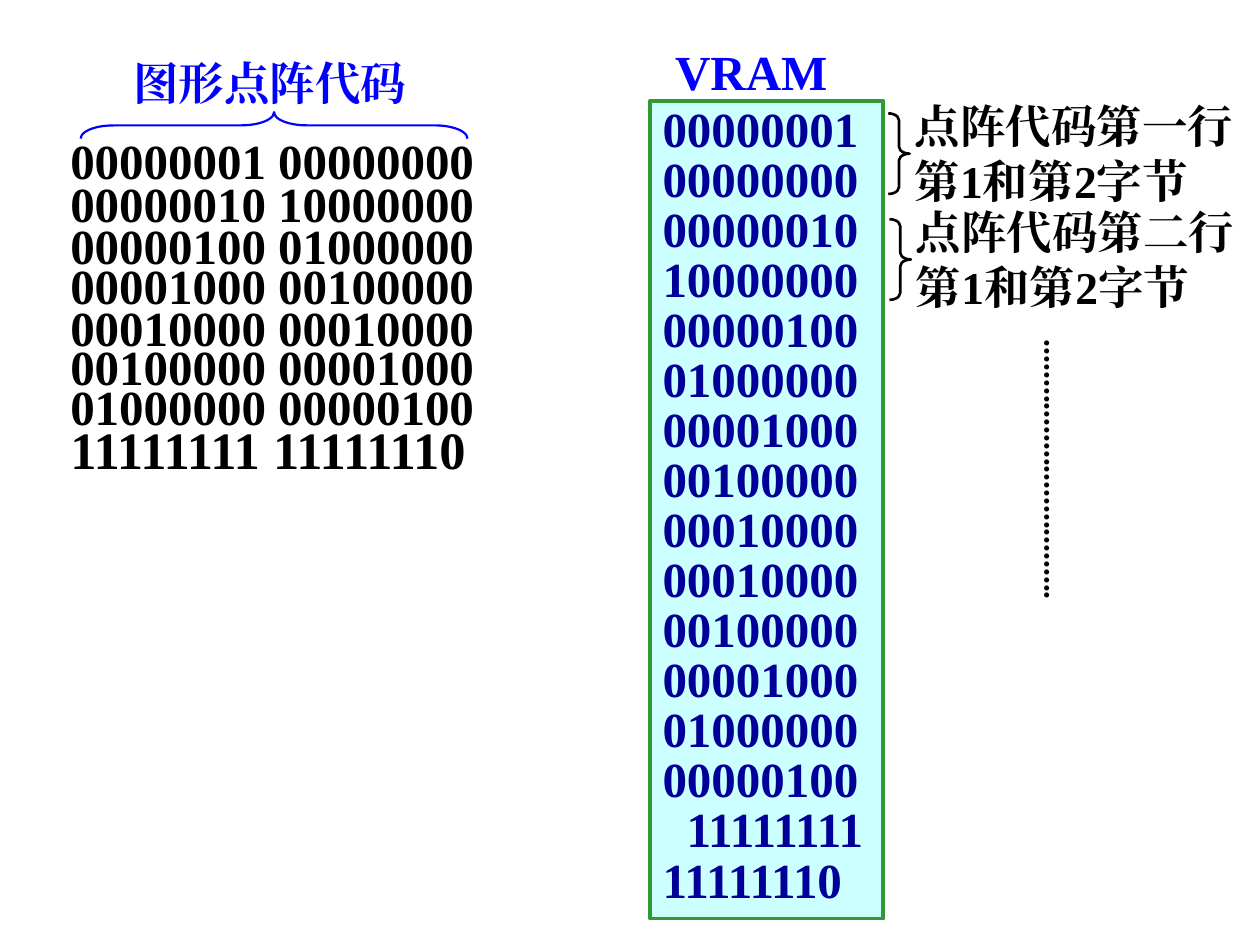
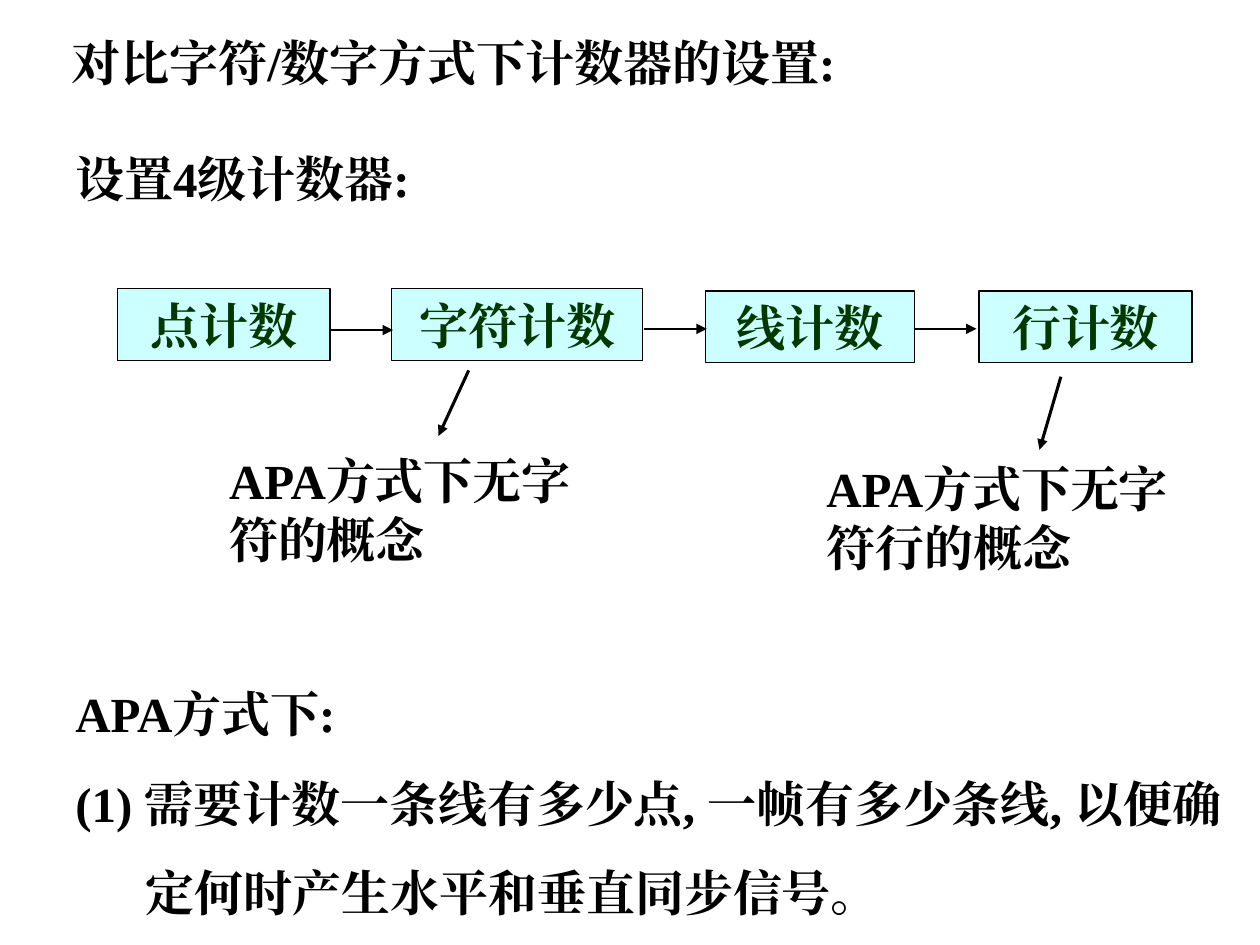
from pptx import Presentation
from pptx.dml.color import RGBColor
from pptx.enum import shapes, text
from pptx.oxml.ns import qn
from pptx.util import Inches, Pt
from lxml import etree

FONT = "Times New Roman"
BLACK, BLUE, NAVY, GREEN = "000000", "0000FF", "000099", "003800"
CYAN, FRAME, WHITE = "CCFFFF", "339933", "FFFFFF"


def color(value):
    """Turn a hex string into a colour."""
    return RGBColor.from_string(value)


def write(paragraph, content, size=28, ink=BLACK, center=False, spacing=None,
          before=0, left=0, first=0):
    """Put formatted text into a paragraph."""
    properties = paragraph._p.get_or_add_pPr()
    properties.set("marL", str(Inches(left)))
    properties.set("indent", str(Inches(first)))
    paragraph.alignment = text.PP_ALIGN.CENTER if center else text.PP_ALIGN.LEFT
    if spacing:
        paragraph.line_spacing = spacing
    if before:
        paragraph.space_before = Pt(before)
    run = paragraph.add_run()
    run.text = content
    run.font.name = FONT
    run.font.size = Pt(size)
    run.font.bold = True
    run.font.color.rgb = color(ink)
    etree.SubElement(run._r.get_or_add_rPr(), qn("a:ea"), typeface=FONT)


class Deck:
    """Hold the style and the current slide."""

    def __init__(self):
        """Start an empty presentation."""
        self.show = Presentation()
        self.show.slide_width, self.show.slide_height = Inches(10), Inches(7.5)
        self.slide = None

    def page(self):
        """Add a blank white slide."""
        self.slide = self.show.slides.add_slide(self.show.slide_layouts[6])
        self.slide.background.fill.solid()
        self.slide.background.fill.fore_color.rgb = color(WHITE)

    def label(self, place, content, vertical=False, **style):
        """Add a text box with one paragraph."""
        frame = self.slide.shapes.add_textbox(*map(Inches, place)).text_frame
        frame.word_wrap = True
        if vertical:
            frame._txBody.bodyPr.set("vert", "eaVert")
        write(frame.paragraphs[0], content, **style)
        return frame

    def shape(self, kind, place, line, width, fill=None):
        """Add a preset shape."""
        item = self.slide.shapes.add_shape(kind, *map(Inches, place))
        item.shadow.inherit = False
        item.line.color.rgb = color(line)
        item.line.width = Pt(width)
        if fill:
            item.fill.solid()
            item.fill.fore_color.rgb = color(fill)
        else:
            item.fill.background()
        return item

    def box(self, place, line, width):
        """Add a pale rectangle and return its text frame."""
        frame = self.shape(shapes.MSO_SHAPE.RECTANGLE, place, line, width, CYAN).text_frame
        frame.word_wrap = True
        return frame

    def brace(self, kind, place, line, width, curve, turn=0):
        """Add a curly brace."""
        item = self.shape(kind, place, line, width)
        item.adjustments[0] = curve
        item.rotation = turn

    def arrow(self, start, end, width=1.5):
        """Add a straight arrow."""
        item = self.slide.shapes.add_connector(
            shapes.MSO_CONNECTOR.STRAIGHT, *map(Inches, start + end))
        item.line.color.rgb = color(BLACK)
        item.line.width = Pt(width)
        etree.SubElement(item.line._get_or_add_ln(), qn("a:tailEnd"), type="triangle")
        etree.SubElement(item._element.spPr, qn("a:effectLst"))


def memory_page(deck):
    """Show the dot matrix code and its bytes in VRAM."""
    deck.page()
    matrix = ["00000001 00000000", "00000010 10000000", "00000100 01000000",
              "00001000 00100000", "00010000 00010000", "00100000 00001000",
              "01000000 00000100", "11111111 11111110"]
    tops = [0.99, 1.33, 1.66, 1.98, 2.31, 2.62, 2.94, 3.26]
    for top, row in zip(tops, matrix):
        last = row == matrix[-1]
        deck.label((0.46, top, 3.8, 0.57), row, size=30 if last else 28)
    deck.brace(shapes.MSO_SHAPE.LEFT_BRACE, (2.07, -0.54, 0.21, 3.07), BLUE, 1.25, 1.24, 90)
    deck.label((0.96, 0.39, 2.55, 0.53), "图形点阵代码", size=26, ink=BLUE)

    vram = deck.box((5.16, 0.8, 1.85, 6.49), FRAME, 2.25)
    vram.vertical_anchor = text.MSO_ANCHOR.TOP
    stored = " ".join(matrix[:4] + [
        "00010000 00010000", "00100000 00001000", "01000000 00000100", matrix[-1]]).split()
    for index, byte in enumerate(stored):
        paragraph = vram.add_paragraph() if index else vram.paragraphs[0]
        write(paragraph, byte, ink=NAVY, spacing=Pt(28.6), left=0.19 if index == 14 else 0)
    deck.label((5.26, 0.28, 1.6, 0.57), "VRAM", ink=BLUE)

    for index, number in enumerate("一二"):
        shift, drop = 0.01 * index, 0.84 * index
        deck.brace(shapes.MSO_SHAPE.RIGHT_BRACE, (7.05 + shift, 0.9 + drop, 0.17, 0.64),
                   BLACK, 1.5, 0.32)
        deck.label((7.16 + shift, 0.73 + drop, 2.85, 0.97),
                   f"点阵代码第{number}行第1和第2字节", size=26)
    deck.label((8.09, 2.6, 0.5, 4.17), "." * 33, vertical=True, size=18)


def counter_page(deck):
    """Show the chain of four counters."""
    deck.page()
    deck.label((0.47, 0.21, 8.52, 0.57), "对比字符/数字方式下计数器的设置:")
    deck.label((0.5, 1.13, 3.16, 0.57), "设置4级计数器:")
    counters = [("点计数", 0.93, 2.29, 1.69), ("字符计数", 3.11, 2.29, 1.99),
                ("线计数", 5.6, 2.31, 1.66), ("行计数", 7.77, 2.31, 1.69)]
    for name, left, top, width in counters:
        counter = deck.box((left, top, width, 0.57), BLACK, 0.75)
        counter.vertical_anchor = text.MSO_ANCHOR.MIDDLE
        write(counter.paragraphs[0], name, ink=GREEN, center=True)
    for left, level in ((2.62, 2.62), (5.11, 2.61), (7.25, 2.61)):
        deck.arrow((left, level), (left + 0.5, level))

    remarks = [((3.72, 2.94), (3.48, 3.46), (1.72, 3.53), "APA方式下无字符的概念"),
               ((8.42, 2.99), (8.25, 3.57), (6.46, 3.59), "APA方式下无字符行的概念")]
    for start, end, corner, remark in remarks:
        deck.arrow(start, end, 1.75)
        deck.label(corner + (3.09, 1.04), remark)

    hanging = dict(spacing=1.5, left=0.84, first=-0.56)
    summary = deck.label((0.22, 5.14, 9.66, 2.25), "APA方式下:", **hanging)
    write(summary.add_paragraph(),
          "(1) 需要计数一条线有多少点, 一帧有多少条线, 以便确定何时产生水平和垂直同步信号。",
          before=1.4, **hanging)


def main():
    """Build and save both slides."""
    deck = Deck()
    memory_page(deck)
    counter_page(deck)
    deck.show.save("out.pptx")


if __name__ == "__main__":
    main()
